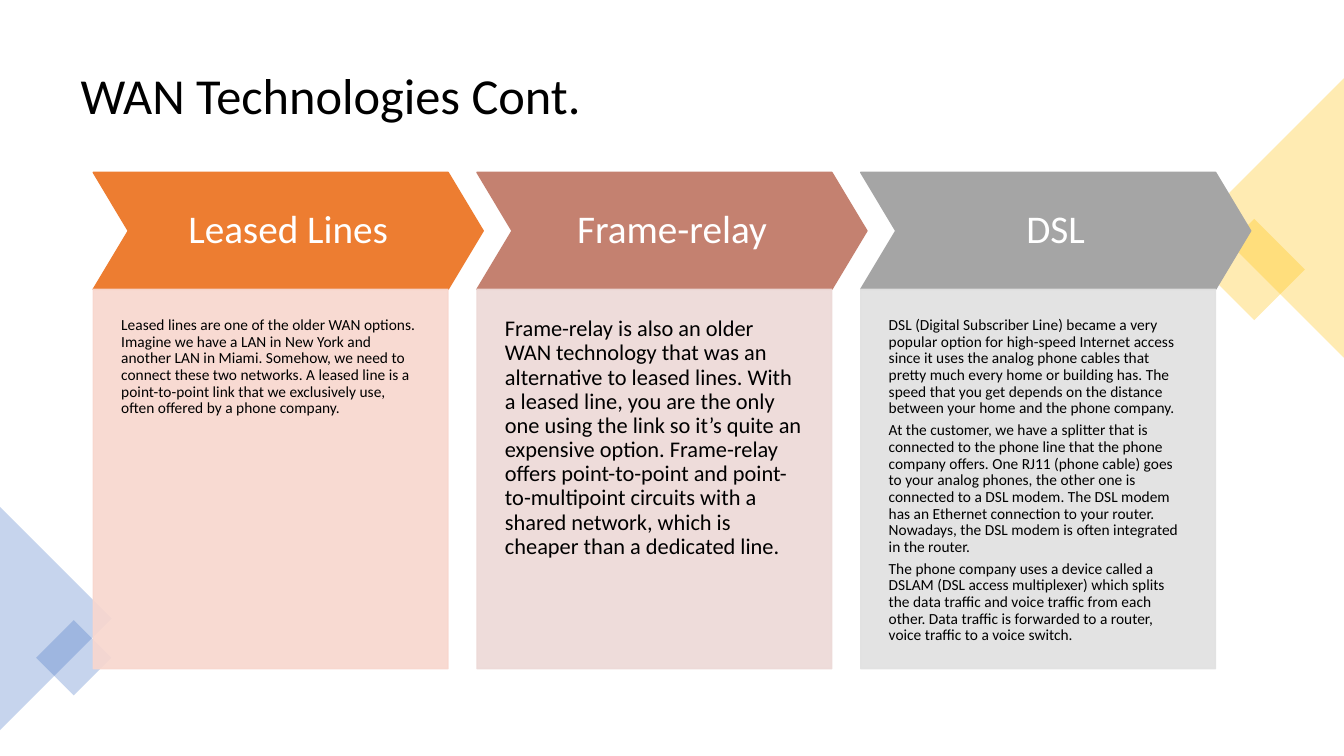
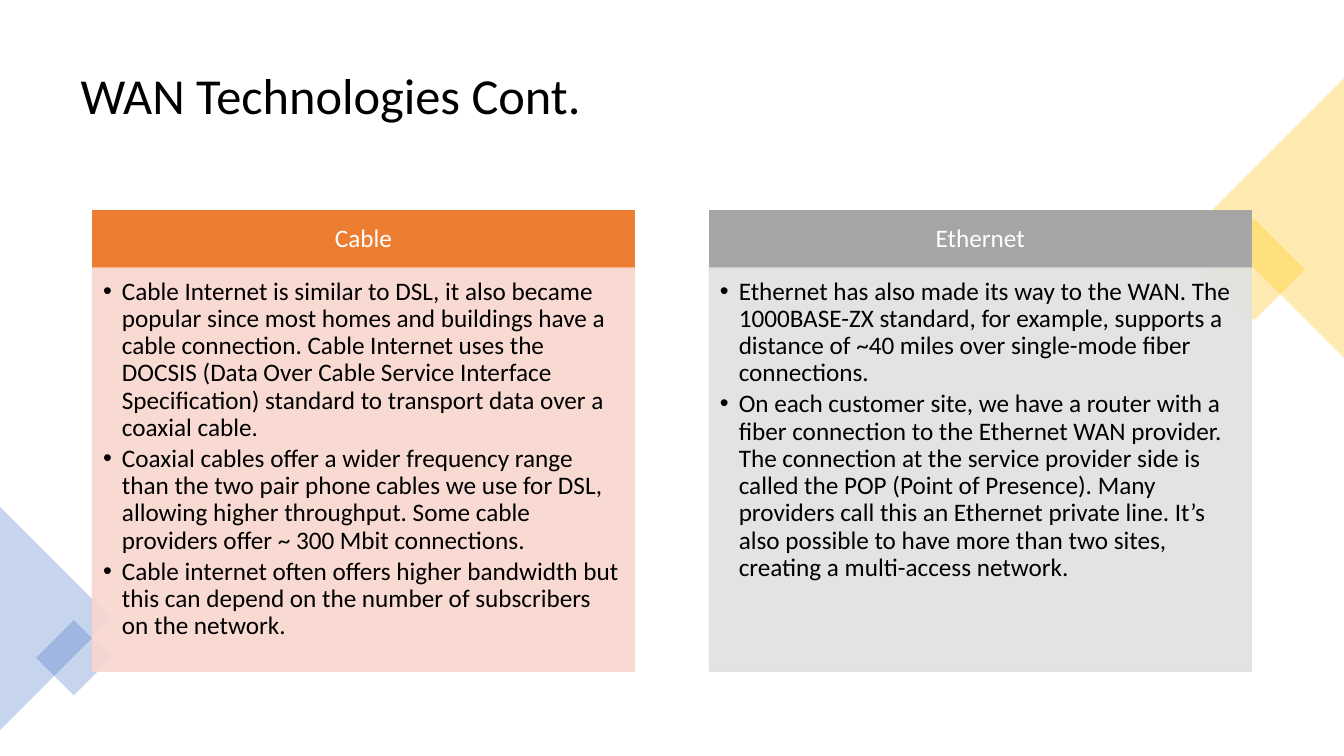
from lxml import etree
from pptx import Presentation
from pptx.dml.color import RGBColor
from pptx.enum.shapes import MSO_SHAPE
from pptx.enum.text import MSO_ANCHOR, MSO_AUTO_SIZE, PP_ALIGN
from pptx.oxml.ns import qn
from pptx.util import Pt

RECTANGLE, TRIANGLE, CHEVRON = MSO_SHAPE.RECTANGLE, MSO_SHAPE.ISOSCELES_TRIANGLE, MSO_SHAPE.CHEVRON
TOP, MIDDLE = MSO_ANCHOR.TOP, MSO_ANCHOR.MIDDLE
LEFT, CENTER = PP_ALIGN.LEFT, PP_ALIGN.CENTER
NO_AUTOFIT = MSO_AUTO_SIZE.NONE

BLACK = RGBColor(0x00, 0x00, 0x00)
WHITE = RGBColor(0xFF, 0xFF, 0xFF)
GOLD = RGBColor(0xFF, 0xC0, 0x00)
BLUE = RGBColor(0x44, 0x72, 0xC4)
ORANGE = RGBColor(0xED, 0x7D, 0x31)
PALE_ORANGE = RGBColor(0xF8, 0xD7, 0xCE)
ROSE = RGBColor(0xC4, 0x81, 0x70)
PALE_ROSE = RGBColor(0xED, 0xD9, 0xD7)
GRAY = RGBColor(0xA5, 0xA5, 0xA5)
PALE_GRAY = RGBColor(0xE1, 0xE1, 0xE1)

FONT = "Calibri"
TITLE = "WAN Technologies Cont."
TITLE_BOX = (50.4, 25.2, 859, 89.3)
TITLE_ONLY_LAYOUT, COMPARISON_LAYOUT = 5, 4

DECORATIONS = [
    (RECTANGLE, (870.3, 166.9, 51.2, 51.2), 45, GOLD),
    (TRIANGLE, (810.2, 105.8, 199.6, 99.8), 270, GOLD),
    (TRIANGLE, (-39.8, 401.9, 159.4, 79.7), 90, BLUE),
    (RECTANGLE, (33.7, 450.9, 38, 38), 45, BLUE),
]
FIRST_MASTER_ID = 20

STEPS = [
    ("Leased Lines", ORANGE, PALE_ORANGE, 11, [
        "Leased lines are one of the older WAN options. Imagine we have a LAN in New York and another LAN in Miami. Somehow, we need to connect these two networks. A leased line is a point-to-point link that we exclusively use, often offered by a phone company.",
    ]),
    ("Frame-relay", ROSE, PALE_ROSE, 16, [
        "Frame-relay is also an older WAN technology that was an alternative to leased lines. With a leased line, you are the only one using the link so it’s quite an expensive option. Frame-relay offers point-to-point and point-to-multipoint circuits with a shared network, which is cheaper than a dedicated line.",
    ]),
    ("DSL", GRAY, PALE_GRAY, 11, [
        "DSL (Digital Subscriber Line) became a very popular option for high-speed Internet access since it uses the analog phone cables that pretty much every home or building has. The speed that you get depends on the distance between your home and the phone company.",
        "At the customer, we have a splitter that is connected to the phone line that the phone company offers. One RJ11 (phone cable) goes to your analog phones, the other one is connected to a DSL modem. The DSL modem has an Ethernet connection to your router. Nowadays, the DSL modem is often integrated in the router.",
        "The phone company uses a device called a DSLAM (DSL access multiplexer) which splits the data traffic and voice traffic from each other. Data traffic is forwarded to a router, voice traffic to a voice switch.",
    ]),
]
STEP_LEFT, STEP_TOP, STEP_PITCH = 66.6, 123.1, 274.1
CHEVRON_WIDTH, CHEVRON_HEIGHT = 278.6, 83.6
STEP_WIDTH, STEP_HEIGHT = 253.4, 271

COLUMNS = [
    ("Cable", ORANGE, PALE_ORANGE, [
        "Cable Internet is similar to DSL, it also became popular since most homes and buildings have a cable connection. Cable Internet uses the DOCSIS (Data Over Cable Service Interface Specification) standard to transport data over a coaxial cable.",
        "Coaxial cables offer a wider frequency range than the two pair phone cables we use for DSL, allowing higher throughput. Some cable providers offer ~ 300 Mbit connections.",
        "Cable internet often offers higher bandwidth but this can depend on the number of subscribers on the network.",
    ]),
    ("Ethernet", GRAY, PALE_GRAY, [
        "Ethernet has also made its way to the WAN. The 1000BASE-ZX standard, for example, supports a distance of ~40 miles over single-mode fiber connections.",
        "On each customer site, we have a router with a fiber connection to the Ethernet WAN provider. The connection at the service provider side is called the POP (Point of Presence). Many providers call this an Ethernet private line. It’s also possible to have more than two sites, creating a multi-access network.",
    ]),
]
COLUMN_LEFT, COLUMN_TOP, COLUMN_PITCH, COLUMN_WIDTH = 66.1, 150.4, 440.6, 387
HEADING_HEIGHT, LIST_HEIGHT = 41, 288
COLUMN_SIZE, BULLET_INDENT = 18, 13.5


def place(shape, box):
    shape.left, shape.top, shape.width, shape.height = map(Pt, box)


def add_shape(slide, kind, box):
    shape = slide.shapes.add_shape(kind, *map(Pt, box))
    shape.shadow.inherit = False
    return shape


def paint(shape, color, opacity=100, outlined=True):
    shape.fill.solid()
    shape.fill.fore_color.rgb = color
    if outlined:
        shape.line.color.rgb = color
        shape.line.width = Pt(1)
    else:
        shape.line.fill.background()
    if opacity < 100:
        for color_element in shape.element.spPr.iter(qn("a:srgbClr")):
            etree.SubElement(color_element, qn("a:alpha"), val=str(opacity * 1000))


def add_bullet(paragraph):
    properties = paragraph._p.get_or_add_pPr()
    properties.set("marL", str(Pt(BULLET_INDENT)))
    properties.set("indent", str(-Pt(BULLET_INDENT)))
    etree.SubElement(properties, qn("a:buChar"), char="•")


def write(shape, texts, size, color=BLACK, alignment=LEFT, anchor=TOP,
          margins=(7.2, 3.6, 7.2, 3.6), space_after=0, bulleted=False):
    frame = shape.text_frame
    frame.word_wrap = True
    frame.auto_size = NO_AUTOFIT
    frame.vertical_anchor = anchor
    frame.margin_left, frame.margin_top, frame.margin_right, frame.margin_bottom = map(Pt, margins)
    for index, text in enumerate(texts):
        paragraph = frame.add_paragraph() if index else frame.paragraphs[0]
        paragraph.text = text
        paragraph.alignment = alignment
        paragraph.line_spacing = 0.9
        paragraph.space_before = Pt(0)
        paragraph.space_after = Pt(space_after)
        if bulleted:
            add_bullet(paragraph)
        paragraph.font.name = FONT
        paragraph.font.size = Pt(size)
        paragraph.font.bold = False
        paragraph.font.color.rgb = color


def write_heading(shape, text, size, margins):
    write(shape, [text], size, WHITE, CENTER, MIDDLE, margins)


def add_slide(presentation, layout_index):
    slide = presentation.slides.add_slide(presentation.slide_layouts[layout_index])
    place(slide.shapes.title, TITLE_BOX)
    write(slide.shapes.title, [TITLE], 36, anchor=MIDDLE)
    return slide


def decorate_master(presentation, slide):
    master_tree = presentation.slide_master.shapes.element
    for number, (kind, box, rotation, color) in enumerate(DECORATIONS, FIRST_MASTER_ID):
        shape = add_shape(slide, kind, box)
        shape.rotation = rotation
        paint(shape, color, 30, outlined=False)
        shape.element.nvSpPr.cNvPr.set("id", str(number))
        master_tree.append(shape.element)


def add_steps(slide):
    for index, (name, color, pale_color, size, texts) in enumerate(STEPS):
        left = STEP_LEFT + index * STEP_PITCH
        chevron = add_shape(slide, CHEVRON, (left, STEP_TOP, CHEVRON_WIDTH, CHEVRON_HEIGHT))
        chevron.adjustments[0] = 0.3
        paint(chevron, color)
        write_heading(chevron, name, 28, (10, 10, 10, 10))
        panel = add_shape(slide, RECTANGLE, (left, STEP_TOP + CHEVRON_HEIGHT, STEP_WIDTH, STEP_HEIGHT))
        paint(panel, pale_color, 90)
        write(panel, texts, size, margins=(20, 20, 20, 40), space_after=round(size * 0.35, 2))


def fill_columns(slide):
    for index, (name, color, pale_color, texts) in enumerate(COLUMNS):
        left = COLUMN_LEFT + index * COLUMN_PITCH
        heading = slide.placeholders[1 + 2 * index]
        place(heading, (left, COLUMN_TOP, COLUMN_WIDTH, HEADING_HEIGHT))
        paint(heading, color)
        write_heading(heading, name, COLUMN_SIZE, (10, 6, 10, 6))
        body = slide.placeholders[2 + 2 * index]
        place(body, (left, COLUMN_TOP + HEADING_HEIGHT, COLUMN_WIDTH, LIST_HEIGHT))
        paint(body, pale_color, 90)
        write(body, texts, COLUMN_SIZE, margins=(7.5, 7.5, 10, 11.5),
              space_after=COLUMN_SIZE * 0.15, bulleted=True)


def main():
    presentation = Presentation()
    presentation.slide_width, presentation.slide_height = Pt(960), Pt(540)
    steps_slide = add_slide(presentation, TITLE_ONLY_LAYOUT)
    decorate_master(presentation, steps_slide)
    add_steps(steps_slide)
    fill_columns(add_slide(presentation, COMPARISON_LAYOUT))
    presentation.save("out.pptx")


if __name__ == "__main__":
    main()
